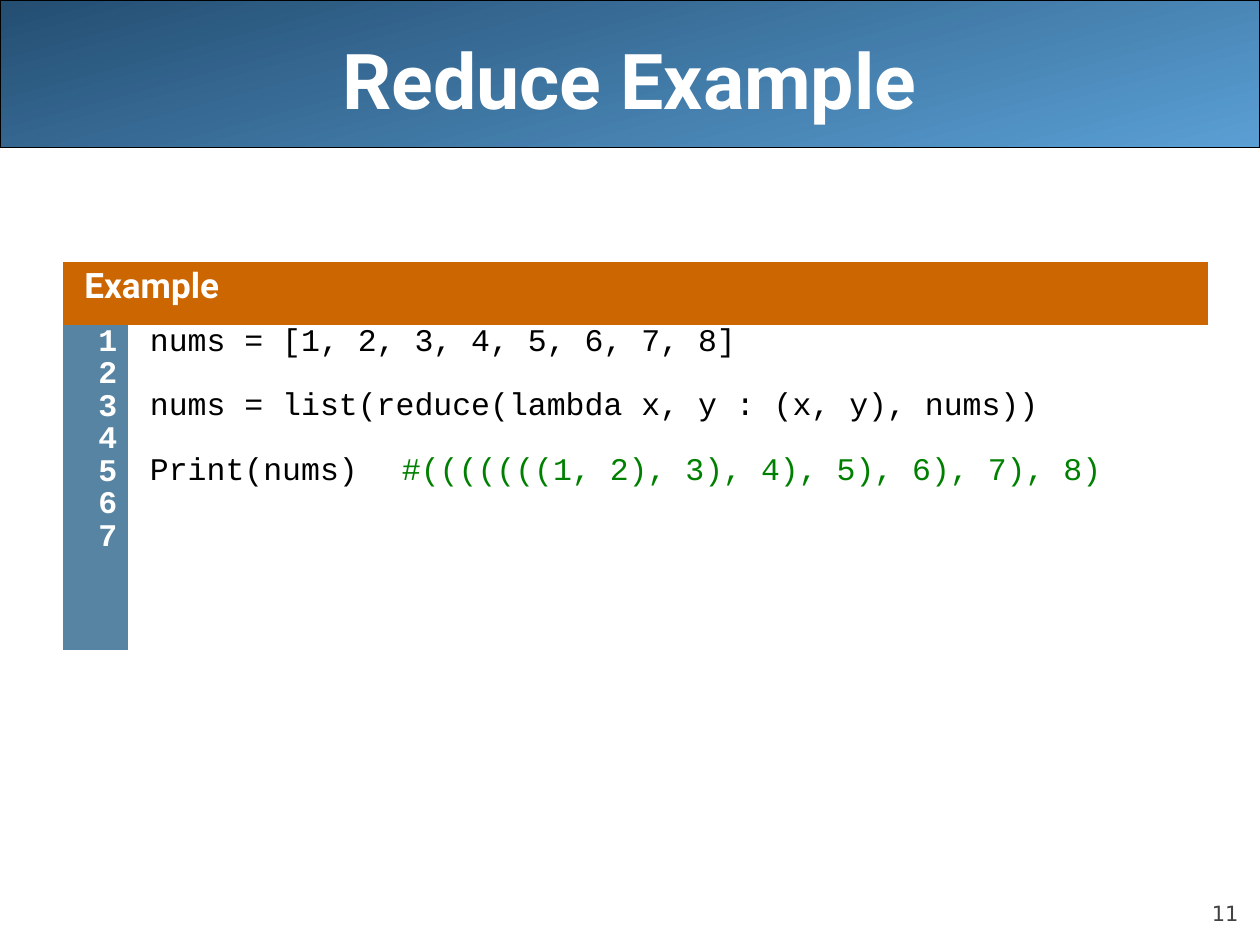
from pptx import Presentation
from pptx.dml.color import RGBColor as RGB
from pptx.enum.shapes import MSO_SHAPE as Shape
from pptx.enum.text import MSO_ANCHOR as Anchor, PP_ALIGN as Align
from pptx.oxml import parse_xml
from pptx.oxml.ns import nsdecls, qn
from pptx.util import Inches, Pt

COLORS = {
    "white": "FFFFFF", "black": "000000", "grey": "424242",
    "light": "5A9FD4", "dark": "244E72",
    "orange": "CC6600", "steel": "5784A3", "green": "008000",
}
NO_STYLE = "{2D5ABB26-0587-4C30-8999-92F81FD0307C}"
CODE = [
    "nums = [1, 2, 3, 4, 5, 6, 7, 8]",
    "nums = list(reduce(lambda x, y : (x, y), nums))",
    "Print(nums)\t#(((((((1, 2), 3), 4), 5), 6), 7), 8)",
]


class Deck:
    head, mono, sans = "Roboto", "Courier New", "DejaVu Sans"

    def __init__(self):
        self.prs = Presentation()
        self.prs.slide_width, self.prs.slide_height = Inches(10), Inches(7.5)
        self.slide = self.prs.slides.add_slide(self.prs.slide_layouts[5])

    def color(self, name):
        return RGB.from_string(COLORS[name])

    def font(self, item, face, size, color, bold=False):
        font = item.font
        font.name, font.size, font.bold = face, Pt(size), bold
        font.color.rgb = self.color(color)

    def place(self, shape, left, top, width, height):
        shape.left, shape.top = Inches(left), Inches(top)
        shape.width, shape.height = Inches(width), Inches(height)

    def title(self, text):
        shape = self.slide.shapes.title
        self.place(shape, 0.5, 0, 9, 1.25)
        frame = shape.text_frame
        frame.text = text
        frame.vertical_anchor = Anchor.MIDDLE
        para = frame.paragraphs[0]
        para.alignment = Align.CENTER
        self.font(para.runs[0], self.head, 44, "white", True)

    def band(self, height):
        shape = self.slide.shapes.add_shape(
            Shape.ROUNDED_RECTANGLE, 0, 0, Inches(10), Inches(height))
        shape.adjustments[0] = 0
        shape.shadow.inherit = False
        shape.fill.gradient()
        shape.fill.gradient_angle = 105
        for stop, name, pos in zip(
                shape.fill.gradient_stops, ("light", "dark"), (0, 1)):
            stop.color.rgb, stop.position = self.color(name), pos
        shape.line.color.rgb = self.color("black")
        shape.line.width = Pt(0.75)
        # Keep the band behind the title
        self.slide.shapes.title.element.addprevious(shape.element)

    def number(self, text):
        box = self.slide.shapes.add_textbox(
            Inches(9), Inches(6.95), Inches(0.83), Inches(0.4))
        frame = box.text_frame
        frame.word_wrap = True
        frame.margin_left = frame.margin_right = 0
        frame.margin_top = frame.margin_bottom = 0
        frame.vertical_anchor = Anchor.BOTTOM
        frame.text = text
        para = frame.paragraphs[0]
        para.alignment = Align.RIGHT
        self.font(para.runs[0], self.sans, 12, "grey")

    def table(self, left, top, cols, rows):
        frame = self.slide.shapes.add_table(
            len(rows), len(cols), Inches(left), Inches(top),
            Inches(sum(cols)), Inches(sum(rows)))
        table = frame.table
        table.first_row = table.horz_banding = False
        next(frame.element.iter(qn("a:tableStyleId"))).text = NO_STYLE
        for col, width in zip(table.columns, cols):
            col.width = Inches(width)
        for row, height in zip(table.rows, rows):
            row.height = Inches(height)
        return table

    def cell(self, cell, lines, fill, face, size, color, bold=False,
             align=Align.LEFT, line=0.69, gap=0, right=0.05, tab=None):
        cell.fill.solid()
        cell.fill.fore_color.rgb = self.color(fill)
        cell.margin_left = cell.margin_top = cell.margin_bottom = Inches(0.05)
        cell.margin_right = Inches(right)
        cell.text_frame.text = "\n".join(lines)
        for i, para in enumerate(cell.text_frame.paragraphs):
            para.alignment, para.line_spacing = align, line
            para.space_before = Pt(gap if i else 0)
            props = para._p.get_or_add_pPr()
            props.set("marL", str(Inches(0.12)))
            props.set("indent", "0")
            if tab:
                props.append(parse_xml(
                    f'<a:tabLst {nsdecls("a")}>'
                    f'<a:tab pos="{Inches(tab)}" algn="l"/></a:tabLst>'))
            for run in para.runs:
                self.font(run, face, size, color, bold)

    def comment(self, para, color):
        run = para.runs[0]
        code, note = run.text.split("\t")
        run.text = code + "\t"
        extra = para.add_run()
        extra.text = note
        self.font(extra, self.mono, run.font.size.pt, color)


def main():
    deck = Deck()

    # Header and page number
    deck.title("Reduce Example")
    deck.band(1.17)
    deck.number("11")

    # Code listing
    table = deck.table(0.5, 2.08, [0.52, 8.57], [0.5, 2.58])
    top = table.cell(0, 0)
    top.merge(table.cell(0, 1))
    deck.cell(top, ["Example"], "orange", deck.head, 20, "white", True,
              line=0.92)
    deck.cell(table.cell(1, 0), [str(n) for n in range(1, 8)], "steel",
              deck.mono, 18, "white", True, Align.RIGHT, gap=4.5, right=0.09)
    body = table.cell(1, 1)
    deck.cell(body, CODE, "white", deck.mono, 18, "black",
              gap=22.9, right=0.18, tab=2.66)
    deck.comment(body.text_frame.paragraphs[-1], "green")

    deck.prs.save("out.pptx")


if __name__ == "__main__":
    main()
